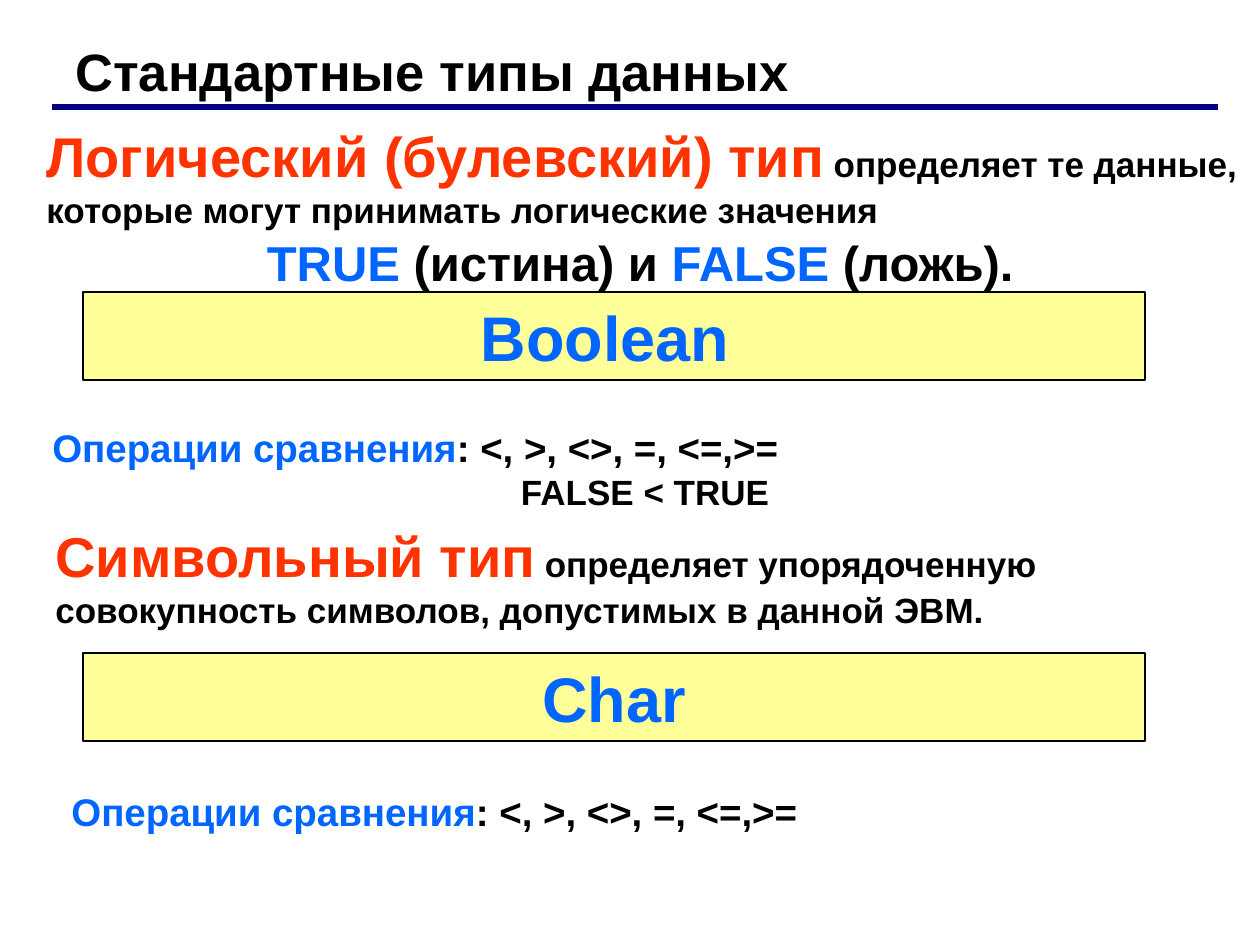
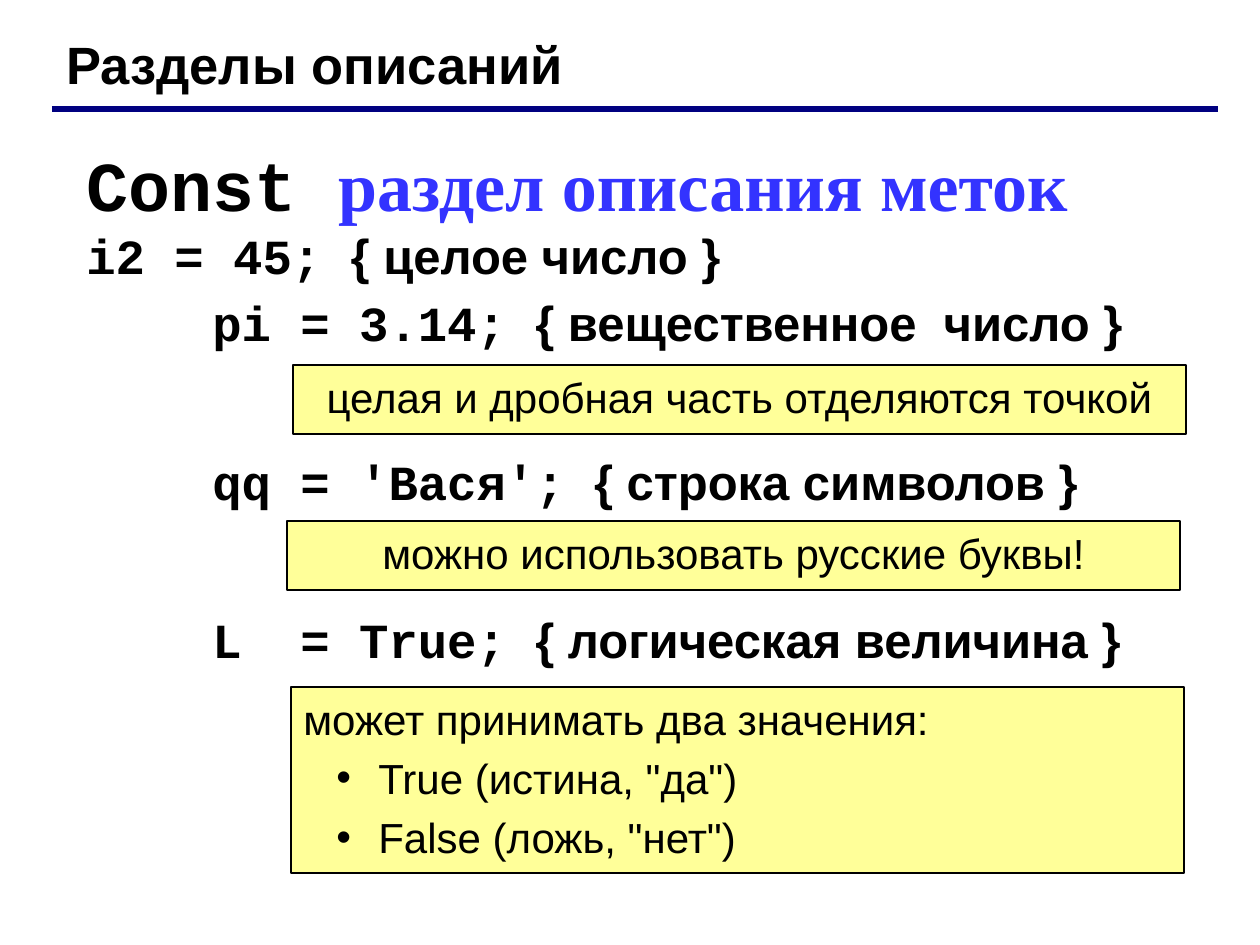
from pptx import Presentation
from pptx.dml.color import RGBColor
from pptx.enum.shapes import MSO_CONNECTOR, MSO_SHAPE
from pptx.enum.text import MSO_ANCHOR, PP_ALIGN
from pptx.oxml.ns import qn
from pptx.util import Emu, Pt
from lxml import etree

PX = 914400 / 126
BLACK = RGBColor(0x00, 0x00, 0x00)
NAVY = RGBColor(0x00, 0x00, 0x80)
RED = RGBColor(0xFF, 0x33, 0x00)
BLUE = RGBColor(0x00, 0x66, 0xFF)
VIOLET = RGBColor(0x33, 0x33, 0xFF)
YELLOW = RGBColor(0xFF, 0xFF, 0x99)
SANS, MONO, SERIF = "Arial", "Courier New", "Times New Roman"
LEFT, CENTER = PP_ALIGN.LEFT, PP_ALIGN.CENTER
TOP, MIDDLE = MSO_ANCHOR.TOP, MSO_ANCHOR.MIDDLE
RECTANGLE, STRAIGHT = MSO_SHAPE.RECTANGLE, MSO_CONNECTOR.STRAIGHT

COMPARISON = [("Операции сравнения", 22, BLUE), (": <, >, <>, =, <=,>=", 22)]


def px(length):
    """Turn a length in px into EMU."""
    return Emu(round(length * PX))


def box_px(box):
    """Turn left, top, width and height into EMU."""
    return [px(length) for length in box]


def add_run(paragraph, text, size, color=BLACK, font=SANS, bold=True):
    """Append one formatted run."""
    run = paragraph.add_run()
    run.text = text
    run.font.size = Pt(size)
    run.font.name = font
    run.font.bold = bold
    run.font.color.rgb = color


def add_paragraph(frame, runs, align=LEFT, before=0, indent=0):
    """Fill the empty first paragraph of a frame, or append a new one."""
    first = frame.paragraphs[0]
    paragraph = first if not first.runs else frame.add_paragraph()
    paragraph.alignment = align
    paragraph.space_before = Pt(before)
    if indent:
        paragraph._p.get_or_add_pPr().set("marL", str(px(indent)))
    for run in runs:
        add_run(paragraph, *run)
    return paragraph


def add_text(slide, box, anchor=TOP):
    """Add a wrapping text box and return its frame."""
    frame = slide.shapes.add_textbox(*box_px(box)).text_frame
    frame.word_wrap = True
    frame.vertical_anchor = anchor
    return frame


def add_header(slide, title, box, rule_y):
    """Add the slide title and the navy rule under it."""
    add_paragraph(add_text(slide, box, MIDDLE), [(title, 30)])
    rule = slide.shapes.add_connector(
        STRAIGHT, px(52), px(rule_y), px(1218), px(rule_y))
    rule.line.color.rgb = NAVY
    rule.line.width = Pt(3)
    etree.SubElement(rule._element.spPr, qn("a:effectLst"))


def add_panel(slide, box, runs, align=CENTER):
    """Add an outlined yellow panel and return its frame."""
    panel = slide.shapes.add_shape(RECTANGLE, *box_px(box))
    panel.shadow.inherit = False
    panel.fill.solid()
    panel.fill.fore_color.rgb = YELLOW
    panel.line.color.rgb = BLACK
    panel.line.width = Pt(1)
    frame = panel.text_frame
    frame.word_wrap = True
    frame.vertical_anchor = TOP
    add_paragraph(frame, runs, align)
    return frame


def add_bullet(frame, text):
    """Append a bulleted line to a panel."""
    paragraph = add_paragraph(
        frame, [(text, 24, BLACK, SANS, False)], before=5, indent=75)
    properties = paragraph._p.get_or_add_pPr()
    properties.set("indent", str(px(-42)))
    etree.SubElement(properties, qn("a:buFont")).set("typeface", SANS)
    etree.SubElement(properties, qn("a:buChar")).set("char", "•")


def add_definition(slide, box, term, meaning):
    """Add a red term followed by its meaning."""
    frame = add_text(slide, box)
    add_paragraph(frame, [(term, 32, RED), (" ", 18), (meaning, 20)])
    return frame


def add_data_types(slide):
    """Build the slide on the logical and character types."""
    add_header(slide, "Стандартные типы данных", (63, 38, 1134, 66), 107)
    logical = add_definition(
        slide, (34, 115, 1226, 184), "Логический (булевский) тип",
        "определяет те данные, которые могут принимать логические значения")
    add_paragraph(
        logical,
        [("TRUE", 28, BLUE), (" (истина) и ", 28),
         ("FALSE", 28, BLUE), (" (ложь). ", 28)],
        CENTER, before=1)

    order = add_text(slide, (40, 418, 1220, 101))
    add_paragraph(order, COMPARISON)
    add_paragraph(order, [("FALSE < TRUE ", 20)], CENTER)

    add_definition(
        slide, (43, 515, 1109, 122), "Символьный тип",
        "определяет упорядоченную совокупность символов, "
        "допустимых в данной ЭВМ.")
    for type_name, top in (("Boolean ", 292), ("Char", 653)):
        add_panel(slide, (83, top, 1062, 88), [(type_name, 36, BLUE)])
    add_paragraph(add_text(slide, (59, 782, 786, 59)), COMPARISON)


def add_declarations(slide):
    """Build the slide on constant declarations."""
    add_header(slide, "Разделы описаний", (54, 26, 1121, 76), 109)
    code = add_text(slide, (74, 135, 1101, 539))
    add_paragraph(code, [("Const ", 40, BLACK, MONO),
                         ("раздел описания меток", 40, VIOLET, SERIF)])
    constants = [
        ("i2 = 45; ", "{ целое число }", 0, 0),
        ("pi = 3.14; ", "{ вещественное  число }", 5, 126),
        ("qq = 'Вася'; ", "{ строка символов }", 57, 126),
        ("L  = True; ", "{ логическая величина }", 57, 126),
    ]
    for statement, remark, before, indent in constants:
        add_paragraph(code, [(statement, 28, BLACK, MONO), (remark, 28)],
                      before=before, indent=indent)

    hints = [
        ("целая и дробная часть отделяются точкой", (293, 365, 893, 69), CENTER),
        ("можно использовать русские буквы!", (287, 521, 893, 69), CENTER),
        ("может принимать два значения:", (291, 687, 893, 186), LEFT),
    ]
    for hint, box, align in hints:
        values = add_panel(slide, box, [(hint, 24, BLACK, SANS, False)], align)
    for value in ('True (истина, "да")', 'False (ложь, "нет")'):
        add_bullet(values, value)


def main():
    """Build and save the presentation."""
    deck = Presentation()
    deck.slide_width, deck.slide_height = px(1260), px(945)
    blank = deck.slide_layouts[6]
    for build in (add_data_types, add_declarations):
        build(deck.slides.add_slide(blank))
    deck.save("out.pptx")


if __name__ == "__main__":
    main()
